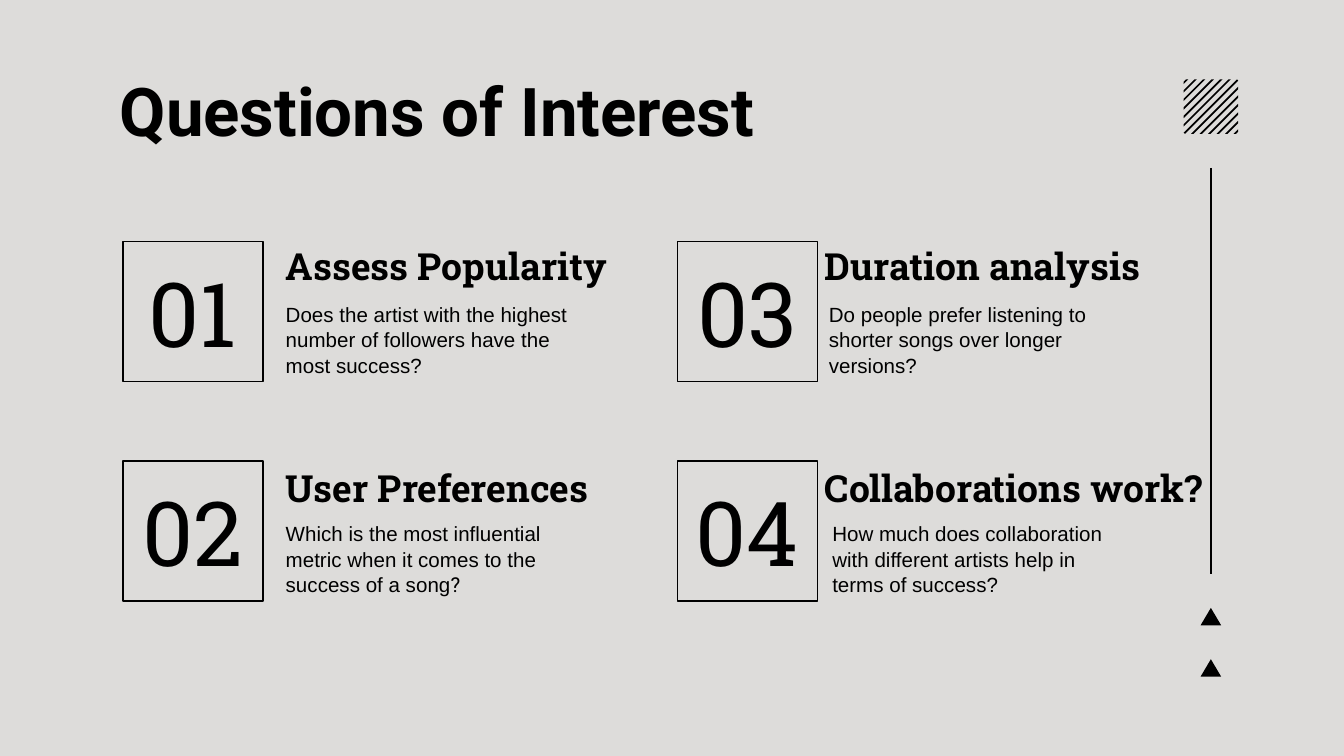
from lxml.etree import SubElement
from pptx import Presentation
from pptx.dml.color import RGBColor
from pptx.enum.shapes import MSO_CONNECTOR, MSO_SHAPE
from pptx.enum.text import MSO_ANCHOR, PP_ALIGN
from pptx.oxml.ns import qn
from pptx.util import Pt

BLACK = RGBColor(0x00, 0x00, 0x00)
PAPER = RGBColor(0xDD, 0xDC, 0xDA)
INSET = 7.2
SQUARE = 75
ROWS = (129.5, 247)

# square left, row, number, heading left and top, body left and width, heading, body
QUESTIONS = [
    (66, 0, "01", (146, 123), (146, 166), "Assess Popularity",
     ["Does the artist with the highest number of followers have the most success?"]),
    (66, 1, "02", (146, 242), (146, 166), "User Preferences",
     ["Which is the most influential metric when it comes to the success of a song", "?"]),
    (363, 0, "03", (434.8, 123), (437, 166), "Duration analysis",
     ["Do people prefer listening to shorter songs over longer versions?"]),
    (363, 1, "04", (434.8, 242), (438.8, 174), "Collaborations work?",
     ["How much does collaboration with different artists help in terms of success?"]),
]


def add_text(s, x, y, w, h, runs, size, fonts, bold=False, align=PP_ALIGN.LEFT,
             anchor=MSO_ANCHOR.TOP, spacing=1.0):
    """Add a text box with one paragraph; each run takes the font at its place."""
    tf = s.shapes.add_textbox(Pt(x), Pt(y), Pt(w), Pt(h)).text_frame
    tf.word_wrap = True
    tf.vertical_anchor = anchor
    tf.margin_left = tf.margin_right = tf.margin_top = tf.margin_bottom = Pt(INSET)
    p = tf.paragraphs[0]
    p.alignment = align
    p.line_spacing = spacing
    for text, font in zip(runs, fonts):
        r = p.add_run()
        r.text = text
        r.font.name = font
        r.font.size = Pt(size)
        r.font.bold = bold
        r.font.color.rgb = BLACK


def add_square(s, x, y):
    sp = s.shapes.add_shape(MSO_SHAPE.RECTANGLE, Pt(x), Pt(y), Pt(SQUARE), Pt(SQUARE))
    sp.shadow.inherit = False
    sp.fill.solid()
    sp.fill.fore_color.rgb = PAPER
    sp.line.color.rgb = BLACK
    sp.line.width = Pt(0.75)


def add_polygons(s, polygons):
    """Add one black freeform made of closed outlines."""
    builder = None
    for polygon in polygons:
        start, *rest = [(Pt(x), Pt(y)) for x, y in polygon]
        if builder is None:
            builder = s.shapes.build_freeform(*start)
        else:
            builder.move_to(*start)
        builder.add_line_segments(rest, close=True)
    sp = builder.convert_to_shape()
    sp.shadow.inherit = False
    sp.fill.solid()
    sp.fill.fore_color.rgb = BLACK
    sp.line.fill.background()


def add_hatch(s, x, y, side, count=13, first=1.3, pitch=4.56, thickness=1.3):
    """Add diagonal stripes clipped to a square."""
    def ends(c):
        near, far = max(0, c - side), min(c, side)
        return (x + near, y + far), (x + far, y + near)

    stripes = []
    for i in range(count):
        c = first + i * pitch
        stripes.append([*ends(c), *reversed(ends(c + thickness))])
    add_polygons(s, stripes)


def add_rule(s, x, top, bottom):
    line = s.shapes.add_connector(MSO_CONNECTOR.STRAIGHT, Pt(x), Pt(top), Pt(x), Pt(bottom))
    line.line.color.rgb = BLACK
    line.line.width = Pt(0.75)
    SubElement(line._element.spPr, qn("a:effectLst"))


def add_question(s, x, row, number, heading_at, body_at, heading, body):
    y = ROWS[row]
    body_x, body_w = body_at
    add_square(s, x, y)
    add_text(s, x + 2.3, y + 9.5, 70, 55.5, [number], 48, ["Roboto Slab"],
             align=PP_ALIGN.CENTER, anchor=MSO_ANCHOR.MIDDLE)
    add_text(s, *heading_at, 235, 29.5, [heading], 20, ["Roboto Slab"], bold=True)
    add_text(s, body_x, y + 24.5, body_w, 55.5, body, 11, ["Arial", "Roboto"], spacing=1.04)


def main():
    prs = Presentation()
    prs.slide_width, prs.slide_height = Pt(720), Pt(405)
    s = prs.slides.add_slide(prs.slide_layouts[6])
    s.background.fill.solid()
    s.background.fill.fore_color.rgb = PAPER

    for top in (325.7, 353.2):
        add_polygons(s, [[(643.2, top + 9.3), (648.7, top), (654.2, top + 9.3)]])
    add_rule(s, 648.7, 90, 307.3)
    add_hatch(s, 634.1, 42.5, 29.2)

    add_text(s, 57, 30.2, 646.5, 48.2, ["Questions of Interest"], 36, ["Roboto"], bold=True)
    for question in QUESTIONS:
        add_question(s, *question)
    prs.save("out.pptx")


if __name__ == "__main__":
    main()
